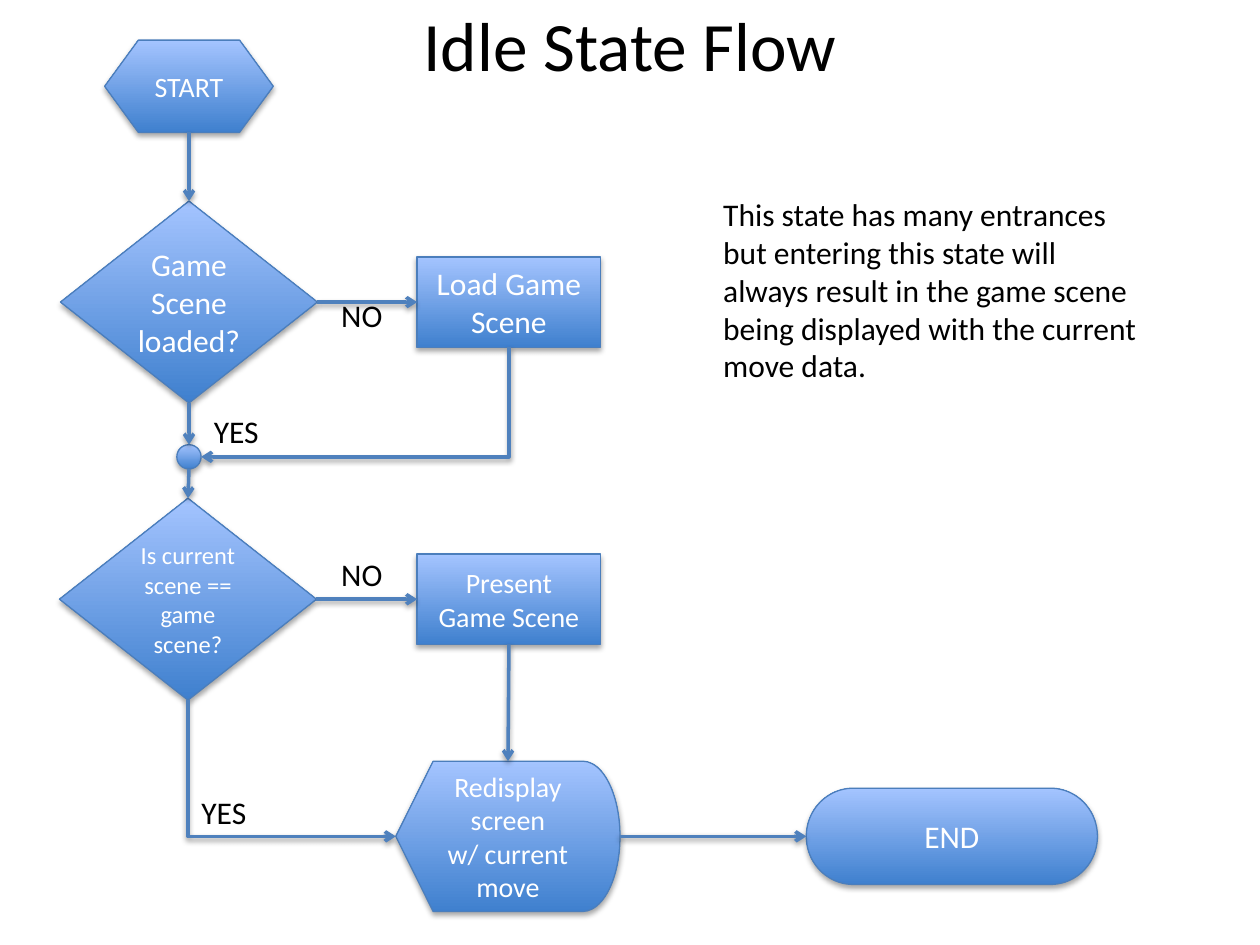
from dataclasses import dataclass

from lxml import etree
from pptx import Presentation
from pptx.dml.color import RGBColor
from pptx.enum.shapes import MSO_CONNECTOR, MSO_SHAPE
from pptx.enum.text import MSO_ANCHOR, PP_ALIGN
from pptx.oxml.ns import qn
from pptx.util import Cm, Pt

PREPARATION = MSO_SHAPE.FLOWCHART_PREPARATION
PROCESS = MSO_SHAPE.FLOWCHART_PROCESS
DECISION = MSO_SHAPE.FLOWCHART_DECISION
DISPLAY = MSO_SHAPE.FLOWCHART_DISPLAY
TERMINATOR = MSO_SHAPE.FLOWCHART_TERMINATOR
JUNCTION = MSO_SHAPE.FLOWCHART_CONNECTOR
STRAIGHT, ELBOW = MSO_CONNECTOR.STRAIGHT, MSO_CONNECTOR.ELBOW
CENTER, LEFT = PP_ALIGN.CENTER, PP_ALIGN.LEFT
MIDDLE, TOP = MSO_ANCHOR.MIDDLE, MSO_ANCHOR.TOP
SIDES = {"top": (0, -0.5), "bottom": (0, 0.5), "left": (-0.5, 0), "right": (0.5, 0)}


@dataclass(frozen=True)
class Theme:
    """Colours, type sizes and line widths of the slide."""
    font: str = "Calibri"
    dark: str = "000000"
    light: str = "FFFFFF"
    fill_bottom: str = "3F80CE"
    fill_top: str = "A4C4FF"
    outline: str = "4B7EBC"
    arrow: str = "4F81BD"
    title: float = 39.6
    body: float = 18
    medium: float = 16
    small: float = 14
    outline_width: float = 0.75
    arrow_width: float = 2


@dataclass(frozen=True)
class Node:
    """A flowchart symbol placed by its centre, in centimetres."""
    kind: MSO_SHAPE
    x: float
    y: float
    width: float
    height: float
    lines: tuple[str, ...] = ()
    size: float = 18

    def side(self, name: str) -> tuple[float, float]:
        """Return the middle of the named side."""
        across, down = SIDES[name]
        return self.x + across * self.width, self.y + down * self.height


@dataclass(frozen=True)
class Arrow:
    """An arrow from a side of one node to a side of another."""
    source: str
    source_side: str
    target: str
    target_side: str


@dataclass(frozen=True)
class Caption:
    """A free text box, in centimetres."""
    text: str
    left: float
    top: float
    width: float
    height: float
    size: float = 18
    wrap: bool = False
    align: PP_ALIGN = LEFT
    anchor: MSO_ANCHOR = TOP


THEME = Theme()
LEFT_X, MIDDLE_X = 3.81, 10.26
LOAD_Y, PRESENT_Y, LAST_Y = 6.09, 12.08, 16.86

NODES = {
    "start": Node(PREPARATION, LEFT_X, 1.74, 3.4, 1.86, ("START",), THEME.medium),
    "load": Node(PROCESS, MIDDLE_X, LOAD_Y, 3.7, 1.82, ("Load Game Scene",), THEME.body),
    "loaded": Node(DECISION, LEFT_X, LOAD_Y, 5.18, 4.07, ("Game Scene loaded?",), THEME.body),
    "present": Node(PROCESS, MIDDLE_X, PRESENT_Y, 3.7, 1.82, ("Present Game Scene",),
                    THEME.medium),
    "current": Node(DECISION, 3.79, PRESENT_Y, 5.18, 4.07,
                    ("Is current scene == game scene?",), THEME.small),
    "redisplay": Node(DISPLAY, 10.24, LAST_Y, 4.52, 3.03,
                      ("Redisplay screen", "w/ current move"), THEME.medium),
    "end": Node(TERMINATOR, 19.19, LAST_Y, 5.87, 1.94, ("END",), THEME.body),
    "junction": Node(JUNCTION, LEFT_X, 9.21, 0.49, 0.49),
}
ARROWS = (
    Arrow("start", "bottom", "loaded", "top"),
    Arrow("loaded", "right", "load", "left"),
    Arrow("loaded", "bottom", "junction", "top"),
    Arrow("load", "bottom", "junction", "right"),
    Arrow("junction", "bottom", "current", "top"),
    Arrow("current", "right", "present", "left"),
    Arrow("current", "bottom", "redisplay", "left"),
    Arrow("present", "bottom", "redisplay", "top"),
    Arrow("redisplay", "right", "end", "left"),
)
CAPTIONS = (
    Caption("Idle State Flow", 1.27, 0, 22.86, 1.75, THEME.title, True, CENTER, MIDDLE),
    Caption("NO", 6.63, 5.84, 1.35, 1.03),
    Caption("YES", 4.06, 8.18, 1.45, 1.03),
    Caption("NO", 6.63, 11.06, 1.35, 1.03),
    Caption("YES", 3.81, 15.86, 1.45, 1.03),
    Caption("This state has many entrances but entering this state will always result "
            "in the game scene being displayed with the current move data.",
            14.33, 3.81, 8.84, 8.28, THEME.body, True),
)


def color(value: str) -> RGBColor:
    """Turn a hex string into a colour."""
    return RGBColor.from_string(value)


def add_shadow(shape, opacity: int, distance: float) -> None:
    """Give a shape or connector a soft shadow straight below it."""
    properties = shape.element.spPr
    effects = etree.SubElement(properties, qn("a:effectLst"))
    shadow = etree.SubElement(effects, qn("a:outerShdw"), blurRad=str(Pt(3.15)),
                              dist=str(Pt(distance)), dir="5400000", rotWithShape="0")
    tint = etree.SubElement(shadow, qn("a:srgbClr"), val=THEME.dark)
    etree.SubElement(tint, qn("a:alpha"), val=str(opacity * 1000))


def write_lines(frame, lines: tuple[str, ...], size: float, ink: str, align: PP_ALIGN) -> None:
    """Write one paragraph with one run for each line."""
    for index, line in enumerate(lines):
        paragraph = frame.add_paragraph() if index else frame.paragraphs[0]
        paragraph.alignment = align
        run = paragraph.add_run()
        run.text = line
        run.font.name = THEME.font
        run.font.size = Pt(size)
        run.font.color.rgb = color(ink)


def add_node(slide, node: Node) -> None:
    """Draw a flowchart symbol with its gradient, shadow and text."""
    shape = slide.shapes.add_shape(node.kind, Cm(node.x - node.width / 2),
                                   Cm(node.y - node.height / 2),
                                   Cm(node.width), Cm(node.height))
    shape.fill.gradient()
    shape.fill.gradient_angle = 90
    stops = zip(shape.fill.gradient_stops, (THEME.fill_bottom, THEME.fill_top))
    for position, (stop, value) in enumerate(stops):
        stop.position = position
        stop.color.rgb = color(value)
    shape.line.color.rgb = color(THEME.outline)
    shape.line.width = Pt(THEME.outline_width)
    add_shadow(shape, 35, 1.81)
    shape.text_frame.word_wrap = True
    shape.text_frame.vertical_anchor = MIDDLE
    write_lines(shape.text_frame, node.lines, node.size, THEME.light, CENTER)


def add_elbow(slide, start: tuple[float, float], finish: tuple[float, float]):
    """Add a one-bend connector that runs down first and then sideways."""
    run, drop = finish[0] - start[0], finish[1] - start[1]
    left = (start[0] + finish[0] - drop) / 2
    top = (start[1] + finish[1] - abs(run)) / 2
    connector = slide.shapes.add_connector(ELBOW, Cm(left), Cm(top),
                                           Cm(left + drop), Cm(top + abs(run)))
    properties = connector.element.spPr
    properties.find(qn("a:prstGeom")).set("prst", "bentConnector2")
    frame = properties.find(qn("a:xfrm"))
    frame.set("rot", "16200000" if run > 0 else "5400000")
    if run > 0:
        frame.set("flipH", "1")
    return connector


def add_arrow(slide, arrow: Arrow) -> None:
    """Draw an arrow, bent when it leaves downwards and arrives sideways."""
    start = NODES[arrow.source].side(arrow.source_side)
    finish = NODES[arrow.target].side(arrow.target_side)
    if arrow.source_side == "bottom" and arrow.target_side != "top":
        connector = add_elbow(slide, start, finish)
    else:
        connector = slide.shapes.add_connector(STRAIGHT, *map(Cm, start + finish))
    connector.line.color.rgb = color(THEME.arrow)
    connector.line.width = Pt(THEME.arrow_width)
    etree.SubElement(connector.element.spPr.find(qn("a:ln")), qn("a:tailEnd"), type="arrow")
    add_shadow(connector, 38, 1.57)


def add_caption(slide, caption: Caption) -> None:
    """Draw a free text box."""
    box = slide.shapes.add_textbox(Cm(caption.left), Cm(caption.top),
                                   Cm(caption.width), Cm(caption.height))
    box.text_frame.word_wrap = caption.wrap
    box.text_frame.vertical_anchor = caption.anchor
    write_lines(box.text_frame, (caption.text,), caption.size, THEME.dark, caption.align)


presentation = Presentation()
presentation.slide_width, presentation.slide_height = Cm(25.4), Cm(19.05)
flow_slide = presentation.slides.add_slide(presentation.slide_layouts[6])
for flow_node in NODES.values():
    add_node(flow_slide, flow_node)
for flow_arrow in ARROWS:
    add_arrow(flow_slide, flow_arrow)
for flow_caption in CAPTIONS:
    add_caption(flow_slide, flow_caption)
presentation.save("out.pptx")
